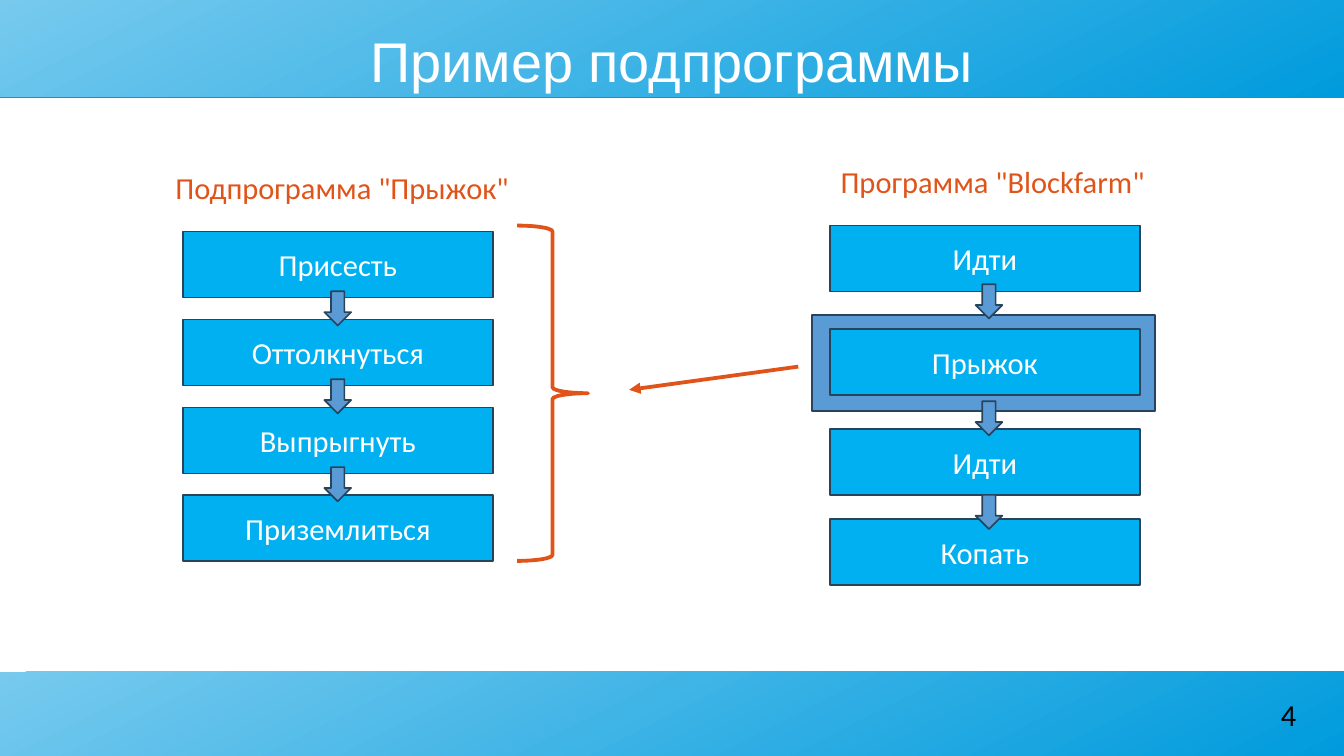
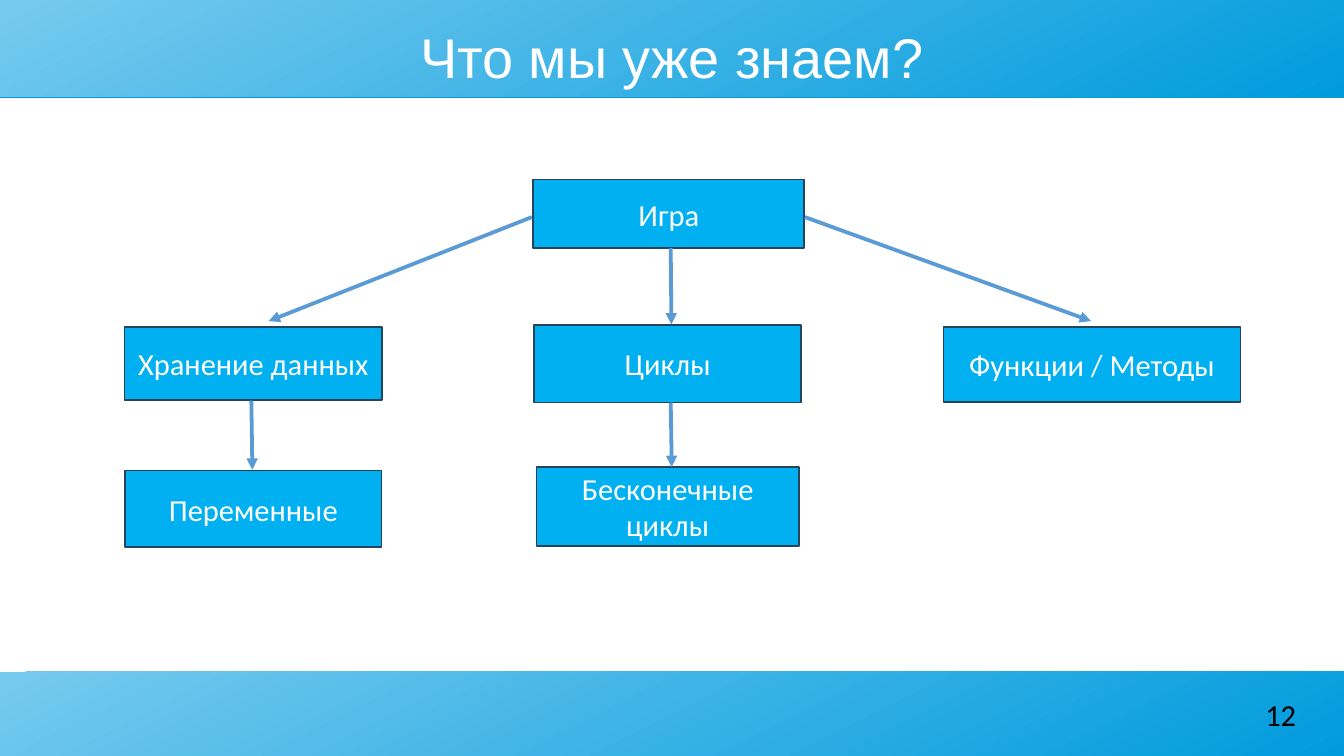
import pptx
import pptx.dml.color
import pptx.enum.shapes
import pptx.enum.text
import pptx.oxml
import pptx.oxml.ns
import pptx.util
from lxml import etree

Pt = pptx.util.Pt
Shape = pptx.enum.shapes.MSO_SHAPE
Align = pptx.enum.text.PP_ALIGN
Anchor = pptx.enum.text.MSO_ANCHOR

WIDTH, HEIGHT = 793.5, 446.4
LIGHT, DEEP = "77CAEE", "009BDD"
STEP_FILL, ARROW_FILL, OUTLINE = "00B0F0", "5B9BD5", "28445D"
ACCENT, WHITE, BLACK = "E05419", "FFFFFF", "000000"
STEP_WIDTH, STEP_HEIGHT = 183, 39


def color(value):
    return pptx.dml.color.RGBColor.from_string(value)


def write_text(shape, text, size=18, font="Calibri", fill=WHITE,
               align=Align.CENTER, anchor=Anchor.MIDDLE, inset=None):
    frame = shape.text_frame
    frame.word_wrap = True
    frame.vertical_anchor = anchor
    if inset is not None:
        frame.margin_left = frame.margin_right = Pt(inset)
        frame.margin_top = frame.margin_bottom = Pt(inset)
    para = frame.paragraphs[0]
    para.alignment = align
    span = para.add_run()
    span.text = text
    span.font.size = Pt(size)
    span.font.name = font
    span.font.color.rgb = color(fill)


def add_text(page, text, left, top, width, height, **style):
    box = page.shapes.add_textbox(Pt(left), Pt(top), Pt(width), Pt(height))
    write_text(box, text, **style)


def add_figure(page, kind, left, top, width, height, fill=None, line=OUTLINE, weight=1):
    figure = page.shapes.add_shape(kind, Pt(left), Pt(top), Pt(width), Pt(height))
    figure.shadow.inherit = False
    if fill:
        figure.fill.solid()
        figure.fill.fore_color.rgb = color(fill)
    else:
        figure.fill.background()
    figure.line.color.rgb = color(line)
    figure.line.width = Pt(weight)
    return figure


def add_box(page, text, left, top, width=STEP_WIDTH, height=STEP_HEIGHT):
    write_text(add_figure(page, Shape.RECTANGLE, left, top, width, height, STEP_FILL), text)


def add_down_arrow(page, left, top):
    add_figure(page, Shape.DOWN_ARROW, left, top, 15.8, 20.2, ARROW_FILL)


def add_arrow(page, start, end, line=ARROW_FILL):
    arrow = page.shapes.add_connector(
        pptx.enum.shapes.MSO_CONNECTOR.STRAIGHT, *map(Pt, start + end))
    arrow.line.color.rgb = color(line)
    arrow.line.width = Pt(2.25)
    tail = etree.SubElement(arrow.line._get_or_add_ln(), pptx.oxml.ns.qn("a:tailEnd"))
    tail.set("type", "triangle")
    etree.SubElement(arrow._element.spPr, pptx.oxml.ns.qn("a:effectLst"))


def add_band(page, top, height):
    band = page.shapes.add_shape(Shape.RECTANGLE, 0, Pt(top), Pt(WIDTH), Pt(height))
    band.line.fill.background()
    band.fill.gradient()
    band.fill.gradient_angle = 297
    for stop, value in zip(band.fill.gradient_stops, (LIGHT, DEEP)):
        stop.color.rgb = color(value)
    band.shadow.inherit = False
    effects = band._element.spPr.find(pptx.oxml.ns.qn("a:effectLst"))
    effects.append(pptx.oxml.parse_xml(
        f'<a:outerShdw {pptx.oxml.ns.nsdecls("a")} dist="{Pt(0.9)}" dir="5400000" '
        f'rotWithShape="0"><a:srgbClr val="{DEEP}"/></a:outerShdw>'))


def add_page(deck, title, title_top, title_height, number):
    page = deck.slides.add_slide(deck.slide_layouts[6])
    add_band(page, 0, 56.9)
    add_band(page, 396.7, HEIGHT - 396.7)
    add_text(page, number, 581, 411.1, 184.3, 28, fill=BLACK,
             align=Align.RIGHT, anchor=Anchor.TOP, inset=0)
    add_text(page, title, 28.1, title_top, 737.3, title_height,
             size=33, font="Arial", inset=0)
    return page


def build_subprogram(deck):
    page = add_page(deck, "Пример подпрограммы", 15.1, 40.3, "4")
    add_figure(page, Shape.RECTANGLE, 479.5, 185.8, 202.3, 56.9, ARROW_FILL)

    add_text(page, 'Подпрограмма "Прыжок"', 96.5, 96.5, 216, 28.8,
             fill=ACCENT, align=Align.LEFT, anchor=Anchor.TOP)
    jump_steps = ("Присесть", "Оттолкнуться", "Выпрыгнуть", "Приземлиться")
    pitch = 51.9
    for index, text in enumerate(jump_steps):
        add_box(page, text, 108, 136.8 + index * pitch)
    for index in range(len(jump_steps) - 1):
        add_down_arrow(page, 191.5, 172 + index * pitch)

    add_text(page, 'Программа "Blockfarm"', 478.1, 92.9, 216, 28.8,
             fill=ACCENT, anchor=Anchor.TOP)
    for text, top in (("Идти", 133.2), ("Прыжок", 194.4), ("Идти", 253.4), ("Копать", 306.5)):
        add_box(page, text, 490, top)
    for top in (167.8, 236.9, 292.2):
        add_down_arrow(page, 576, top)

    add_arrow(page, (471.3, 216.5), (371.5, 230.2), ACCENT)
    add_figure(page, Shape.RIGHT_BRACE, 305.3, 133.2, 41.8, 198, line=ACCENT, weight=2.25)


def build_summary(deck):
    page = add_page(deck, "Что мы уже знаем?", 14.4, 37.4, "12")
    for text, *place in (
        ("Игра", 314.9, 106, 160, 40.5),
        ("Хранение данных", 73.6, 193, 152, 43.4),
        ("Переменные", 74, 277.8, 151.2, 45.4),
        ("Циклы", 315.4, 191.8, 157.6, 45.9),
        ("Бесконечные циклы", 316.8, 275.8, 154.8, 46.6),
        ("Функции / Методы", 557, 193, 175.4, 44.6),
    ):
        add_box(page, text, *place)
    for start, end in (
        ((314, 128.2), (158.6, 189.6)),
        ((475.2, 128.2), (644.2, 189.6)),
        ((148.4, 236.6), (149, 277.4)),
        ((396, 146.6), (396.4, 191.6)),
        ((396, 237.8), (396.6, 275.8)),
    ):
        add_arrow(page, start, end)


def main():
    deck = pptx.Presentation()
    deck.slide_width, deck.slide_height = Pt(WIDTH), Pt(HEIGHT)
    build_subprogram(deck)
    build_summary(deck)
    deck.save("out.pptx")


if __name__ == "__main__":
    main()
